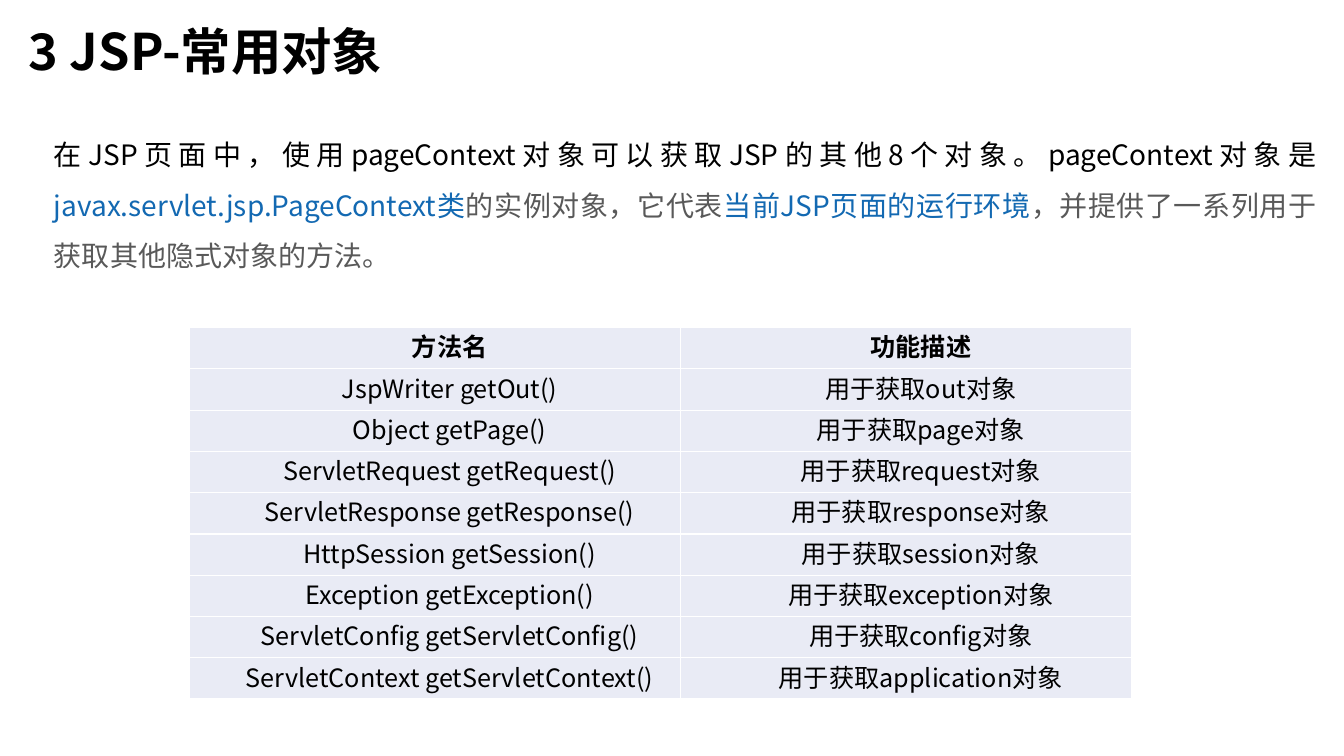
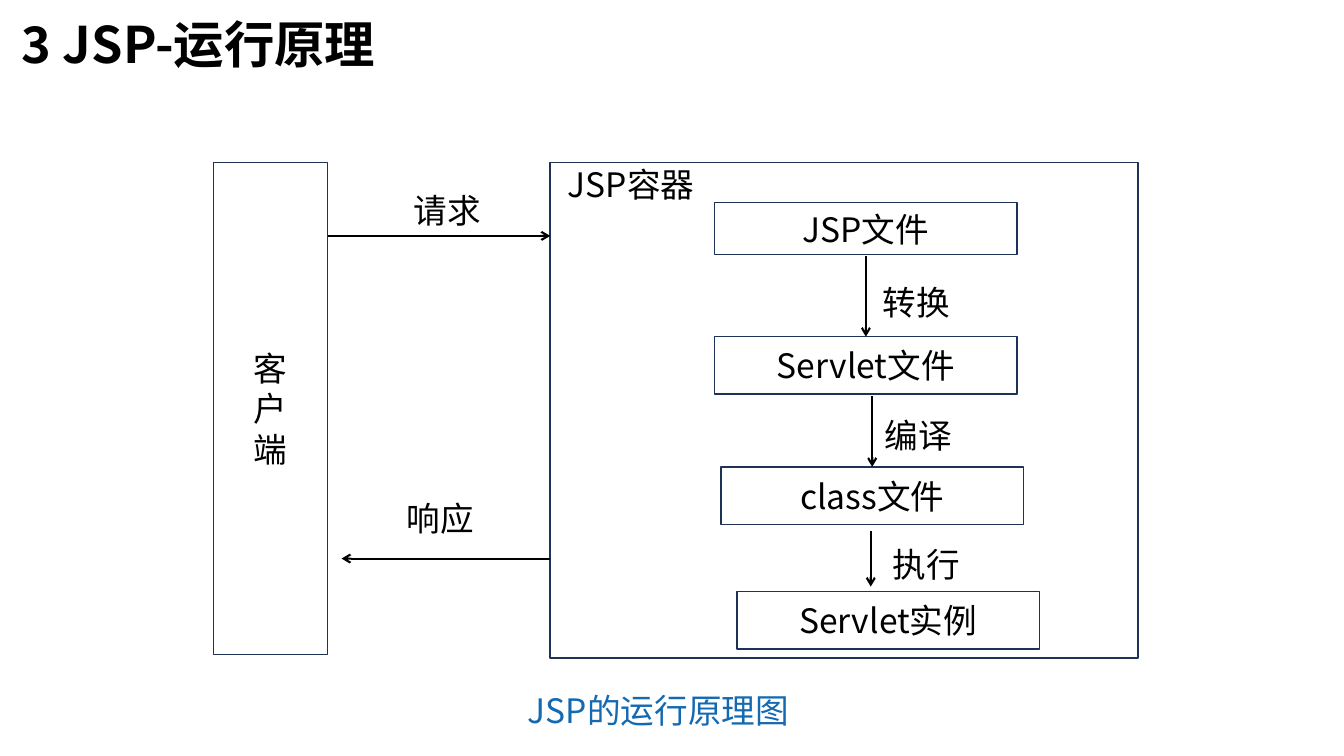
"""Build two slides on JSP: the pageContext methods and how JSP runs."""
from typing import NamedTuple

from lxml import etree
from pptx import Presentation
from pptx.dml.color import RGBColor
from pptx.enum.shapes import MSO_CONNECTOR, MSO_SHAPE
from pptx.enum.text import MSO_ANCHOR, MSO_AUTO_SIZE, PP_ALIGN
from pptx.oxml.ns import qn
from pptx.util import Pt

FONT = "Noto Sans CJK SC"
BLACK = RGBColor(0x00, 0x00, 0x00)
WHITE = RGBColor(0xFF, 0xFF, 0xFF)
BLUE = RGBColor(0x13, 0x69, 0xB2)
GRAY = RGBColor(0x59, 0x59, 0x59)
NAVY = RGBColor(0x1E, 0x32, 0x56)
CELL_FILL = RGBColor(0xE9, 0xEB, 0xF5)
RECTANGLE = MSO_SHAPE.RECTANGLE
STRAIGHT = MSO_CONNECTOR.STRAIGHT
TOP, MIDDLE = MSO_ANCHOR.TOP, MSO_ANCHOR.MIDDLE
FIT_TEXT = MSO_AUTO_SIZE.SHAPE_TO_FIT_TEXT
LEFT, CENTER, JUSTIFY = PP_ALIGN.LEFT, PP_ALIGN.CENTER, PP_ALIGN.JUSTIFY

COLUMN_WIDTHS = (350.5, 322.5)
ROW_HEIGHT = 29.5
CELL_INDENT = 21
LABEL_HEIGHT = 36


class Box(NamedTuple):
    left: float
    top: float
    width: float
    height: float
    text: str = ""


class Label(NamedTuple):
    left: float
    top: float
    width: float
    text: str
    color: RGBColor = BLACK


class Arrow(NamedTuple):
    x1: float
    y1: float
    x2: float
    y2: float


INTRO = (
    ("在JSP页面中，使用pageContext对象可以获取JSP的其他8个对象。pageContext对象是", BLACK),
    ("javax.servlet.jsp.PageContext类", BLUE),
    ("的实例对象，它代表", GRAY),
    ("当前JSP页面的运行环境", BLUE),
    ("，并提供了一系列用于获取其他隐式对象的方法。", GRAY),
)
METHODS = (
    ("JspWriter getOut()", "out"),
    ("Object getPage()", "page"),
    ("ServletRequest getRequest()", "request"),
    ("ServletResponse getResponse()", "response"),
    ("HttpSession getSession()", "session"),
    ("Exception getException()", "exception"),
    ("ServletConfig getServletConfig()", "config"),
    ("ServletContext getServletContext()", "application"),
)
BOXES = (
    Box(152.5, 116, 81.5, 351.5, "客\n户\n端"),
    Box(393, 116, 420, 354),
    Box(510.5, 144.5, 216, 37.5, "JSP文件"),
    Box(510.5, 240.5, 216, 41, "Servlet文件"),
    Box(515, 333.5, 216, 41, "class文件"),
    Box(526.5, 422.5, 216, 41, "Servlet实例"),
)
CONTAINER_NAME = Box(366.5, 106, 168.5, 51, "JSP容器")
ARROWS = (
    Arrow(234.5, 168.5, 393, 168.5),
    Arrow(393, 399, 244, 399),
    Arrow(618.5, 183, 618.5, 240.5),
    Arrow(623, 283, 623, 333.5),
    Arrow(622, 379.5, 622, 419),
)
LABELS = (
    Label(623.5, 198, 125.5, "转换"),
    Label(625, 293, 67.5, "编译"),
    Label(630.5, 385, 103.5, "执行"),
    Label(288.5, 132, 88, "请求"),
    Label(283.5, 352, 101, "响应"),
    Label(370, 489.5, 237, "JSP的运行原理图", BLUE),
)


def style_text(frame, size: float, color: RGBColor = BLACK, bold: bool = False,
               align: PP_ALIGN = LEFT, spacing: float = 1.0) -> None:
    for paragraph in frame.paragraphs:
        paragraph.alignment = align
        paragraph.line_spacing = spacing
        font = paragraph.font
        font.size, font.bold, font.name = Pt(size), bold, FONT
        font.color.rgb = color
        latin = paragraph._p.pPr.find(f"{qn('a:defRPr')}/{qn('a:latin')}")
        east_asian = etree.Element(qn("a:ea"), typeface=FONT)
        latin.addnext(east_asian)


def add_text(slide, box: Box, anchor: MSO_ANCHOR = TOP):
    frame = slide.shapes.add_textbox(*map(Pt, box[:4])).text_frame
    frame.word_wrap = True
    frame.vertical_anchor = anchor
    frame.text = box.text
    return frame


def add_titled_slide(deck, left: float, top: float, title: str):
    slide = deck.slides.add_slide(deck.slide_layouts[6])
    frame = add_text(slide, Box(left, top, 842.5, 71, title), MIDDLE)
    style_text(frame, 36, bold=True, spacing=0.9)
    return slide


def add_cell_borders(cell) -> None:
    properties = cell._tc.get_or_add_tcPr()
    for index, side in enumerate(("a:lnL", "a:lnR", "a:lnT", "a:lnB")):
        border = etree.Element(qn(side), w=str(Pt(1)))
        fill = etree.SubElement(border, qn("a:solidFill"))
        etree.SubElement(fill, qn("a:srgbClr"), val=str(WHITE))
        properties.insert(index, border)


def fill_cell(cell, text: str, bold: bool) -> None:
    cell.fill.solid()
    cell.fill.fore_color.rgb = CELL_FILL
    cell.margin_left = cell.margin_right = Pt(5)
    cell.margin_top = cell.margin_bottom = Pt(0)
    add_cell_borders(cell)
    cell.text = text
    cell.text_frame.paragraphs[0]._p.get_or_add_pPr().set("indent", str(Pt(CELL_INDENT)))
    style_text(cell.text_frame, 18, bold=bold, align=CENTER)


def add_method_table(slide) -> None:
    rows = [("方法名", "功能描述")]
    rows += [(method, f"用于获取{target}对象") for method, target in METHODS]
    table = slide.shapes.add_table(
        len(rows), len(COLUMN_WIDTHS), Pt(135.5), Pt(234),
        Pt(sum(COLUMN_WIDTHS)), Pt(ROW_HEIGHT * len(rows))).table
    table.first_row = table.horz_banding = False
    for column, width in zip(table.columns, COLUMN_WIDTHS):
        column.width = Pt(width)
    for row_index, texts in enumerate(rows):
        table.rows[row_index].height = Pt(ROW_HEIGHT)
        for column_index, text in enumerate(texts):
            fill_cell(table.cell(row_index, column_index), text, bold=row_index == 0)


def add_box(slide, box: Box) -> None:
    shape = slide.shapes.add_shape(RECTANGLE, *map(Pt, box[:4]))
    shape.shadow.inherit = False
    shape.fill.background()
    shape.line.color.rgb = NAVY
    shape.line.width = Pt(1)
    if box.text:
        shape.text_frame.text = box.text
        shape.text_frame.vertical_anchor = MIDDLE
        style_text(shape.text_frame, 24, align=CENTER)


def add_arrow(slide, arrow: Arrow) -> None:
    connector = slide.shapes.add_connector(STRAIGHT, *map(Pt, arrow))
    connector.line.color.rgb = BLACK
    connector.line.width = Pt(1.5)
    etree.SubElement(connector.line._get_or_add_ln(), qn("a:tailEnd"), type="arrow")
    etree.SubElement(connector._element.spPr, qn("a:effectLst"))


def add_label(slide, label: Label) -> None:
    frame = add_text(slide, Box(label.left, label.top, label.width, LABEL_HEIGHT, label.text))
    frame.auto_size = FIT_TEXT
    style_text(frame, 24, label.color)


def build_objects_slide(deck) -> None:
    slide = add_titled_slide(deck, 13.5, 3, "3 JSP-常用对象")
    frame = add_text(slide, Box(31.5, 83, 916, 108))
    for text, color in INTRO:
        run = frame.paragraphs[0].add_run()
        run.text = text
        run.font.color.rgb = color
    style_text(frame, 20, align=JUSTIFY, spacing=1.5)
    add_method_table(slide)


def build_principle_slide(deck) -> None:
    slide = add_titled_slide(deck, 8.5, -1.5, "3 JSP-运行原理")
    for box in BOXES:
        add_box(slide, box)
    style_text(add_text(slide, CONTAINER_NAME, MIDDLE), 24, align=CENTER)
    for arrow in ARROWS:
        add_arrow(slide, arrow)
    for label in LABELS:
        add_label(slide, label)


def main() -> None:
    deck = Presentation()
    deck.slide_width, deck.slide_height = Pt(960), Pt(540)
    build_objects_slide(deck)
    build_principle_slide(deck)
    deck.save("out.pptx")


if __name__ == "__main__":
    main()
